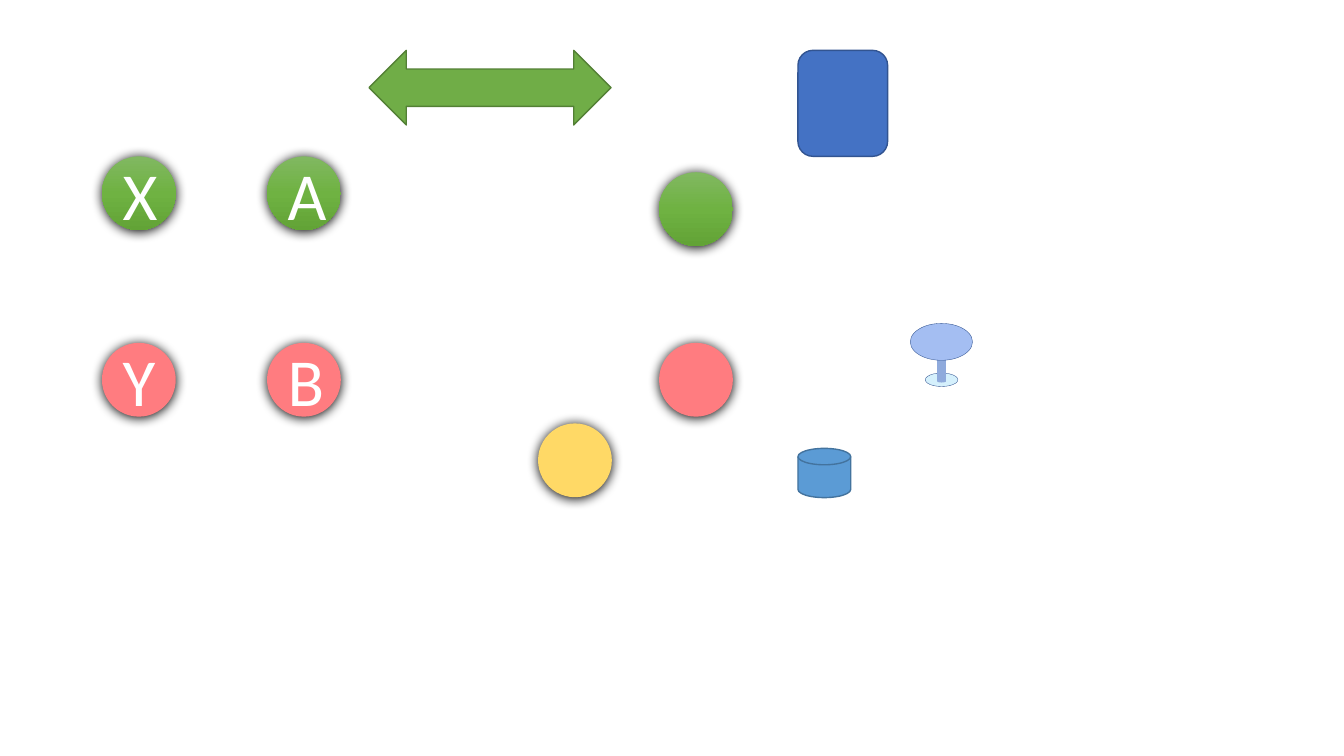
"""Build a slide of lettered circles, plain circles and network symbols."""
from copy import deepcopy

from lxml.etree import SubElement
from pptx import Presentation
from pptx.dml.color import RGBColor
from pptx.enum.shapes import MSO_SHAPE as Preset
from pptx.enum.text import MSO_ANCHOR, PP_ALIGN
from pptx.oxml.ns import qn
from pptx.util import Cm, Pt

WHITE = RGBColor(0xFF, 0xFF, 0xFF)
GREEN = RGBColor(0x70, 0xAD, 0x47)
GREEN_EDGE = RGBColor(0x53, 0x80, 0x35)
BLUE = RGBColor(0x44, 0x72, 0xC4)
BLUE_EDGE = RGBColor(0x32, 0x54, 0x91)
DISK_BLUE = RGBColor(0x5B, 0x9B, 0xD5)
DISK_EDGE = RGBColor(0x43, 0x73, 0x9E)
DISH_BLUE = RGBColor(0xA4, 0xBE, 0xF2)
STEM_BLUE = RGBColor(0x8F, 0xAA, 0xDC)
BASE_BLUE = RGBColor(0xD5, 0xF0, 0xFC)
RED = RGBColor(0xFF, 0x7C, 0x80)
YELLOW = RGBColor(0xFF, 0xD9, 0x66)
GREEN_FADE = (
    (0, RGBColor(0x81, 0xB8, 0x61)),
    (0.5, RGBColor(0x6F, 0xB2, 0x42)),
    (1, RGBColor(0x62, 0xA3, 0x36)),
)

DIAMETER = 1.86
LEFT_COLUMN, RIGHT_COLUMN, PLAIN_COLUMN = 2.57, 6.73, 16.61
TOP_ROW, BOTTOM_ROW = 3.94, 8.64

CIRCLES = [
    ("X", LEFT_COLUMN, TOP_ROW, GREEN_FADE),
    ("A", RIGHT_COLUMN, TOP_ROW, GREEN_FADE),
    ("Y", LEFT_COLUMN, BOTTOM_ROW, RED),
    ("B", RIGHT_COLUMN, BOTTOM_ROW, RED),
    ("", PLAIN_COLUMN, 4.34, GREEN_FADE),
    ("", PLAIN_COLUMN, BOTTOM_ROW, RED),
    ("", 13.56, 10.67, YELLOW),
]

SYMBOLS = [
    (Preset.OVAL, (23.32, 9.4, 0.82, 0.34), BASE_BLUE, BLUE_EDGE, 0.25),
    (Preset.CAN, (23.62, 8.9, 0.22, 0.74), STEM_BLUE, None, 0),
    (Preset.OVAL, (22.94, 8.15, 1.57, 0.93), DISH_BLUE, BLUE_EDGE, 0.25),
    (Preset.FLOWCHART_MAGNETIC_DISK, (20.11, 11.3, 1.33, 1.24),
     DISK_BLUE, DISK_EDGE, 1),
    (Preset.LEFT_RIGHT_ARROW, (9.3, 1.27, 6.1, 1.88), GREEN, GREEN_EDGE, 1),
    (Preset.ROUNDED_RECTANGLE, (20.11, 1.27, 2.26, 2.67), BLUE, BLUE_EDGE, 1),
]


def add_symbol(slide, preset, box, colour, edge, weight):
    symbol = slide.shapes.add_shape(preset, *map(Cm, box))
    symbol.shadow.inherit = False
    if isinstance(colour, RGBColor):
        symbol.fill.solid()
        symbol.fill.fore_color.rgb = colour
    else:
        fade(symbol.fill, colour)
    if edge is None:
        symbol.line.fill.background()
    else:
        symbol.line.color.rgb = edge
        symbol.line.width = Pt(weight)
    return symbol


def fade(fill, stops):
    fill.gradient()
    fill.gradient_angle = 270
    stop_list = fill._fill._gradFill.find(qn("a:gsLst"))
    stop_list.append(deepcopy(stop_list[-1]))
    for stop, (position, colour) in zip(fill.gradient_stops, stops):
        stop.position = position
        stop.color.rgb = colour


def cast_shadow(circle):
    effects = circle._element.spPr.find(qn("a:effectLst"))
    shadow = SubElement(
        effects, qn("a:outerShdw"), blurRad=str(Pt(8.5)), dist=str(Pt(1)),
        dir="5400000", algn="ctr", rotWithShape="0")
    SubElement(shadow, qn("a:srgbClr"), val="000000")


def write_letter(circle, letter):
    frame = circle.text_frame
    frame.word_wrap = True
    frame.vertical_anchor = MSO_ANCHOR.MIDDLE
    paragraph = frame.paragraphs[0]
    paragraph.alignment = PP_ALIGN.CENTER
    run = paragraph.add_run()
    run.text = letter
    run.font.name = "Calibri"
    run.font.size = Pt(48)
    run.font.color.rgb = WHITE


def main():
    deck = Presentation()
    deck.slide_width, deck.slide_height = Cm(33.87), Cm(19.05)
    slide = deck.slides.add_slide(deck.slide_layouts[6])
    for symbol in SYMBOLS:
        add_symbol(slide, *symbol)
    for letter, left, top, colour in CIRCLES:
        box = (left, top, DIAMETER, DIAMETER)
        circle = add_symbol(slide, Preset.OVAL, box, colour, None, 0)
        cast_shadow(circle)
        if letter:
            write_letter(circle, letter)
    deck.save("out.pptx")


if __name__ == "__main__":
    main()
